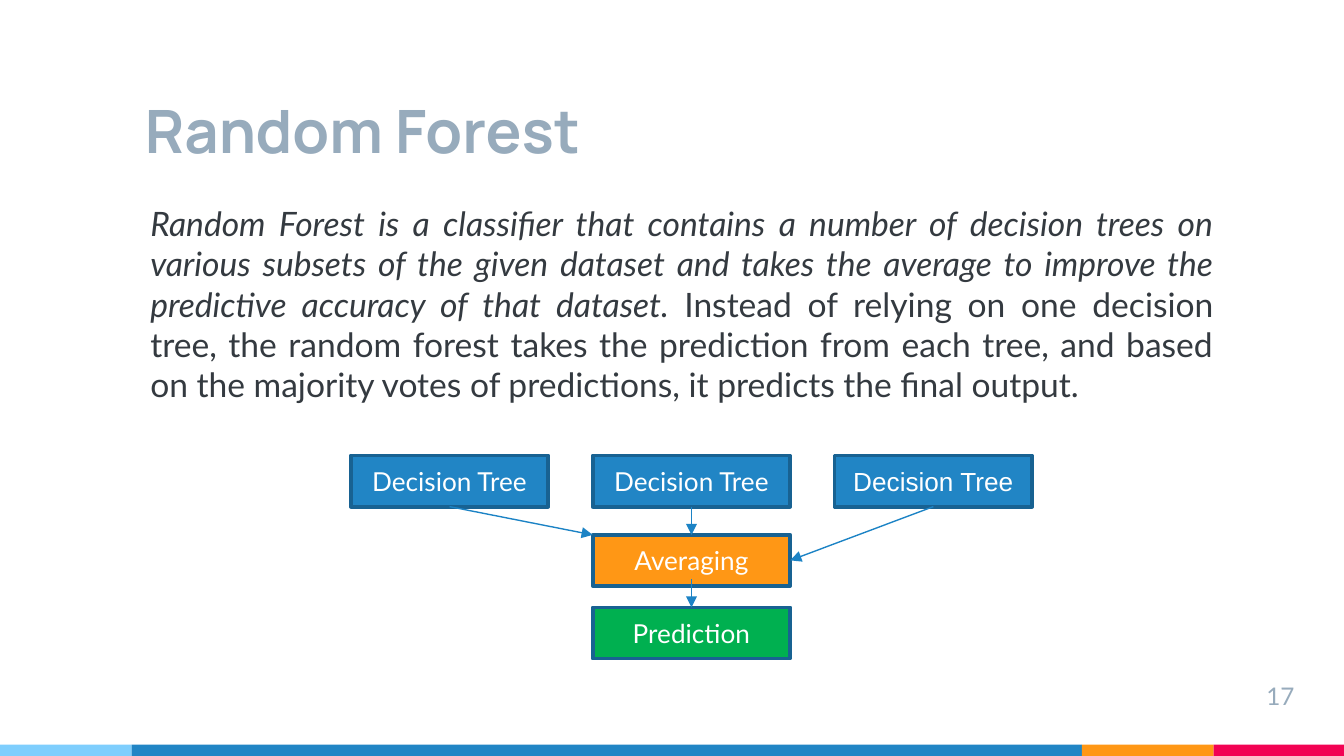
import pptx
import pptx.util
import pptx.dml.color
import pptx.enum.shapes
import pptx.enum.text
import pptx.oxml
import pptx.oxml.ns

Inches = pptx.util.Inches
Pt = pptx.util.Pt
Align = pptx.enum.text.PP_ALIGN
Anchor = pptx.enum.text.MSO_ANCHOR

COLORS = {
    "sky": "7ECEFD",
    "blue": "2185C5",
    "orange": "FF9715",
    "red": "F20253",
    "green": "00B050",
    "border": "186292",
    "arrow": "1C83C5",
    "heading": "97ABBC",
    "body": "343A40",
    "white": "FFFFFF",
}
PAGE_WIDTH = 10
PAGE_HEIGHT = PAGE_WIDTH * 9 / 16
NODE_WIDTH, NODE_HEIGHT = 1.47, 0.38
NODE_LEFT, NODE_STEP = 2.61, 1.8
TREE_TOP, AVERAGE_TOP, PREDICTION_TOP = 3.39, 3.98, 4.52


def rgb(name):
    return pptx.dml.color.RGBColor.from_string(COLORS[name])


def add_span(para, text, size, color, font="Lato", bold=False, italic=False):
    span = para.add_run()
    span.text = text
    span.font.name = font
    span.font.size = Pt(size)
    span.font.bold = bold
    span.font.italic = italic
    span.font.color.rgb = rgb(color)


def add_text_box(page, left, top, width, height, align, anchor=Anchor.TOP):
    box = page.shapes.add_textbox(
        Inches(left), Inches(top), Inches(width), Inches(height))
    frame = box.text_frame
    frame.word_wrap = True
    frame.vertical_anchor = anchor
    frame.margin_left = frame.margin_right = Inches(0.1)
    frame.margin_top = frame.margin_bottom = Inches(0.1)
    para = frame.paragraphs[0]
    para.alignment = align
    return para


def add_rectangle(page, left, top, width, height, color):
    rectangle = page.shapes.add_shape(
        pptx.enum.shapes.MSO_SHAPE.RECTANGLE,
        Inches(left), Inches(top), Inches(width), Inches(height))
    rectangle.shadow.inherit = False
    rectangle.fill.solid()
    rectangle.fill.fore_color.rgb = rgb(color)
    rectangle.line.fill.background()
    return rectangle


def add_node(page, left, top, text, color, font="Lato"):
    node = add_rectangle(page, left, top, NODE_WIDTH, NODE_HEIGHT, color)
    node.line.color.rgb = rgb("border")
    node.line.width = Pt(2)
    node.text_frame.vertical_anchor = Anchor.MIDDLE
    para = node.text_frame.paragraphs[0]
    para.alignment = Align.CENTER
    add_span(para, text, 14, "white", font)


def add_arrow(page, start, end):
    arrow = page.shapes.add_connector(
        pptx.enum.shapes.MSO_CONNECTOR.STRAIGHT,
        *[Inches(value) for value in start + end])
    arrow.line.color.rgb = rgb("arrow")
    arrow.line.width = Pt(0.75)
    head = pptx.oxml.parse_xml(
        '<a:tailEnd %s type="triangle"/>' % pptx.oxml.ns.nsdecls("a"))
    arrow.line._get_or_add_ln().append(head)
    effects = pptx.oxml.parse_xml(
        "<a:effectLst %s/>" % pptx.oxml.ns.nsdecls("a"))
    arrow._element.spPr.append(effects)


def add_footer_bar(page):
    left = 0
    for width, color in [(0.98, "sky"), (7.07, "blue"),
                         (0.98, "orange"), (0.97, "red")]:
        add_rectangle(page, left, 5.54, width, PAGE_HEIGHT - 5.54, color)
        left += width


def add_texts(page):
    title = add_text_box(page, 0.98, 0.39, 7.07, 0.94, Align.LEFT, Anchor.BOTTOM)
    add_span(title, "Random Forest", 32, "heading", "Manrope", bold=True)

    number = add_text_box(page, 9.13, 4.97, 0.6, 0.34, Align.RIGHT)
    add_span(number, "17", 13, "heading")

    body = add_text_box(page, 0.9, 1.41, 8.23, 3.88, Align.JUSTIFY)
    body.space_before = Pt(6)
    properties = body._p.get_or_add_pPr()
    properties.set("marL", str(Inches(0.12)))
    properties.set("indent", "0")
    add_span(body, "Random Forest is a classifier that contains a number of "
             "decision trees on various subsets of the given dataset and takes "
             "the average to improve the predictive accuracy of that dataset. ",
             18, "body", italic=True)
    add_span(body, "Instead of relying on one decision tree, the random forest "
             "takes the prediction from each tree, and based on the majority "
             "votes of predictions, it predicts the final output.", 18, "body")


def add_forest_diagram(page):
    lefts = [NODE_LEFT + NODE_STEP * column for column in range(3)]
    centers = [left + NODE_WIDTH / 2 for left in lefts]
    middle = lefts[1]
    for left, font in zip(lefts, ["Lato", "Lato", "Arial"]):
        add_node(page, left, TREE_TOP, "Decision Tree", "blue", font)
    add_node(page, middle, AVERAGE_TOP, "Averaging", "orange")
    add_node(page, middle, PREDICTION_TOP, "Prediction", "green")

    targets = [
        (middle, AVERAGE_TOP),
        (centers[1], AVERAGE_TOP),
        (middle + NODE_WIDTH, AVERAGE_TOP + NODE_HEIGHT / 2),
    ]
    for center, target in zip(centers, targets):
        add_arrow(page, (center, TREE_TOP + NODE_HEIGHT), target)
    add_arrow(page, (centers[1], 4.31), (centers[1], PREDICTION_TOP))


def main():
    deck = pptx.Presentation()
    deck.slide_width = Inches(PAGE_WIDTH)
    deck.slide_height = Inches(PAGE_HEIGHT)
    page = deck.slides.add_slide(deck.slide_layouts[6])
    add_footer_bar(page)
    add_texts(page)
    add_forest_diagram(page)
    deck.save("out.pptx")


if __name__ == "__main__":
    main()
